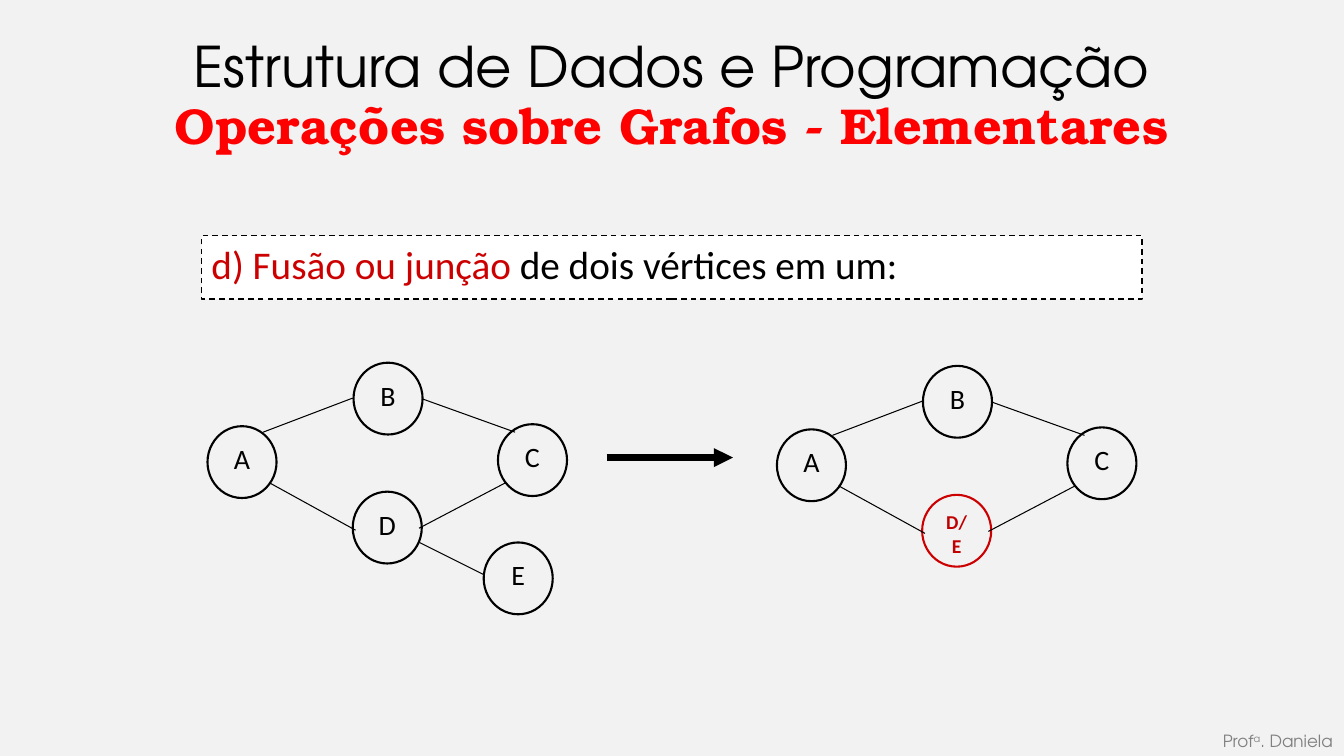
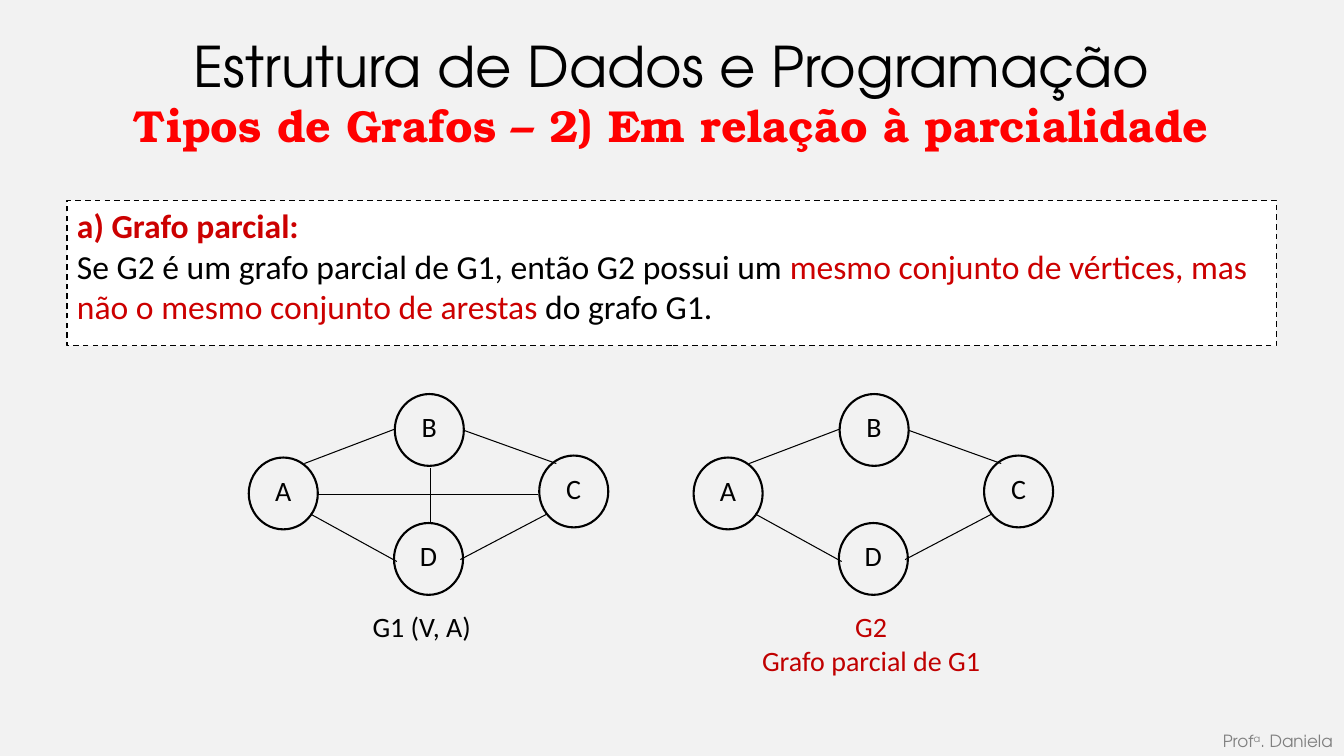
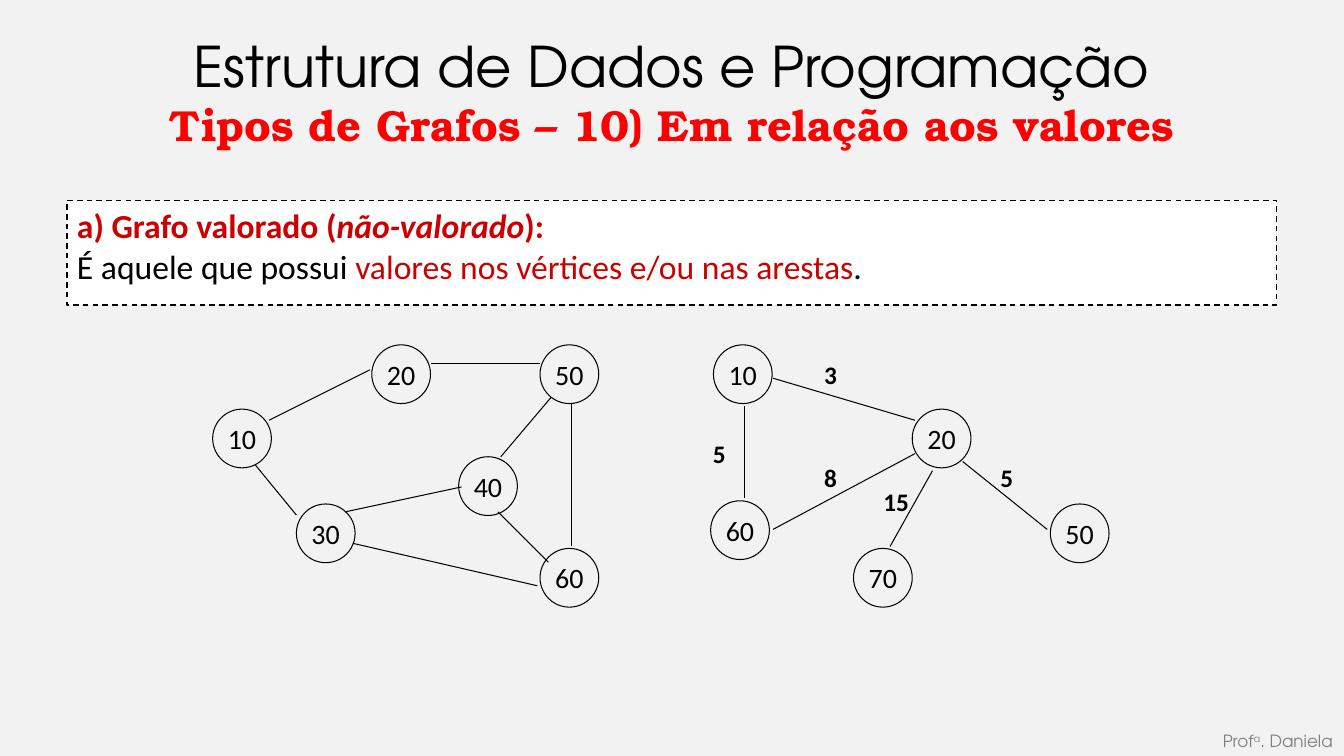
"""Builds three slides about graph operations and graph types."""
from lxml.etree import SubElement
from pptx import Presentation
from pptx.dml.color import RGBColor
from pptx.enum.dml import MSO_LINE
from pptx.enum.shapes import MSO_CONNECTOR, MSO_SHAPE
from pptx.enum.text import MSO_ANCHOR, PP_ALIGN
from pptx.oxml.ns import qn
from pptx.util import Cm, Pt

BLACK = RGBColor(0x00, 0x00, 0x00)
WHITE = RGBColor(0xFF, 0xFF, 0xFF)
PAPER = RGBColor(0xF2, 0xF2, 0xF2)
GRAY = RGBColor(0x80, 0x80, 0x80)
RED = RGBColor(0xFF, 0x00, 0x00)
CRIMSON = RGBColor(0xCC, 0x00, 0x00)
DARK_RED = RGBColor(0xC0, 0x00, 0x00)

BODY = "Calibri"
SANS = "TeX Gyre Adventor"
SERIF = "TeX Gyre Bonum"

DIAMOND_NODES = {"A": (0, 1.6), "B": (3.68, 0), "C": (7.32, 1.55), "D": (3.66, 3.25)}
DIAMOND_EDGES = [
    (3.66, 0.89, 1.4, 1.75),
    (5.33, 4.17, 7.52, 3.02),
    (3.73, 4.22, 1.55, 3.02),
    (5.41, 0.91, 7.75, 1.75),
]


class Deck:
    def __init__(self):
        self.prs = Presentation()
        self.prs.slide_width, self.prs.slide_height = Cm(33.87), Cm(19.05)
        fill = self.prs.slide_master.background.fill
        fill.solid()
        fill.fore_color.rgb = PAPER
        self.s = None

    def style(self, r, size, color=BLACK, bold=False, italic=False, name=BODY):
        r.font.size, r.font.name = Pt(size), name
        r.font.bold, r.font.italic = bold, italic
        r.font.color.rgb = color

    def label(self, tf, text, size, align=PP_ALIGN.CENTER, **look):
        tf.text = text
        for p in tf.paragraphs:
            p.alignment = align
            for r in p.runs:
                self.style(r, size, **look)

    def text(self, text, x, y, w, h, size, wrap=False, anchor=MSO_ANCHOR.TOP, **look):
        tf = self.s.shapes.add_textbox(Cm(x), Cm(y), Cm(w), Cm(h)).text_frame
        tf.word_wrap, tf.vertical_anchor = wrap, anchor
        self.label(tf, text, size, **look)
        return tf

    def slide(self, subtitle, size):
        self.s = self.prs.slides.add_slide(self.prs.slide_layouts[6])
        self.text("Estrutura de Dados e Programação", 1.69, 0.05, 30.48, 3.18, 40,
                  wrap=True, anchor=MSO_ANCHOR.MIDDLE, name=SANS)
        self.text(subtitle, 0.66, 2.34, 32.54, 1.6, size, wrap=True,
                  anchor=MSO_ANCHOR.MIDDLE, color=RED, bold=True, name=SERIF)
        p = self.text("Prof", 24.77, 18.29, 9.07, 0.76, 12, wrap=True,
                      align=PP_ALIGN.RIGHT, color=GRAY, name=SANS).paragraphs[0]
        for part in ("a", ". Daniela"):
            r = p.add_run()
            r.text = part
            self.style(r, 12, GRAY, name=SANS)
        p.runs[1].font._element.set("baseline", "30000")

    def shape(self, kind, x, y, w, h, color, weight):
        sp = self.s.shapes.add_shape(kind, Cm(x), Cm(y), Cm(w), Cm(h))
        sp.shadow.inherit = False
        sp.fill.background()
        sp.line.color.rgb, sp.line.width = color, Pt(weight)
        sp.text_frame.vertical_anchor = MSO_ANCHOR.TOP
        return sp

    def definition(self, x, y, w, h, size, lines):
        sp = self.shape(MSO_SHAPE.RECTANGLE, x, y, w, h, BLACK, 1)
        sp.fill.solid()
        sp.fill.fore_color.rgb = WHITE
        sp.line.dash_style = MSO_LINE.DASH
        tf = sp.text_frame
        tf.word_wrap = True
        for i, line in enumerate(lines):
            p = tf.add_paragraph() if i else tf.paragraphs[0]
            p.alignment = PP_ALIGN.LEFT
            for text, *look in line:
                r = p.add_run()
                r.text = text
                self.style(r, size, *look)

    def vertex(self, name, x, y, size=20, line=BLACK, **look):
        sp = self.shape(MSO_SHAPE.OVAL, x, y, 1.74, 1.81, line, 1.5)
        sp.text_frame.word_wrap = True
        self.label(sp.text_frame, name, size, **look)

    def value(self, number, x, y):
        sp = self.shape(MSO_SHAPE.OVAL, x, y, 1.48, 1.48, BLACK, 0.75)
        sp.text_frame.word_wrap = False
        sp.text_frame.vertical_anchor = MSO_ANCHOR.MIDDLE
        self.label(sp.text_frame, number, 20)

    def edge(self, x1, y1, x2, y2, weight=0.75, arrow=False):
        cx = self.s.shapes.add_connector(MSO_CONNECTOR.STRAIGHT, Cm(x1), Cm(y1), Cm(x2), Cm(y2))
        cx.line.color.rgb, cx.line.width = BLACK, Pt(weight)
        props = cx._element.spPr
        if arrow:
            SubElement(props.find(qn("a:ln")), qn("a:tailEnd"), type="triangle")
        SubElement(props, qn("a:effectLst"))

    def diamond(self, x, y, merged=False):
        for name, (dx, dy) in DIAMOND_NODES.items():
            if merged and name == "D":
                self.vertex("D/E", x + dx, y + dy, size=14, line=CRIMSON,
                            color=DARK_RED, bold=True)
            else:
                self.vertex(name, x + dx, y + dy)
        for x1, y1, x2, y2 in DIAMOND_EDGES:
            self.edge(x + x1, y + y1, x + x2, y + y2)

    def valued_graph(self, nodes, edges):
        for node in nodes:
            self.value(*node)
        for ends in edges:
            self.edge(*ends)


def main():
    deck = Deck()

    deck.slide("Operações sobre Grafos - Elementares", 36)
    deck.definition(5.08, 5.94, 23.7, 1.6, 28, [
        [("d) Fusão ou junção ", CRIMSON), ("de dois vértices em um:",)],
    ])
    deck.diamond(5.23, 9.14)
    deck.vertex("E", 12.19, 13.67)
    deck.edge(10.57, 13.67, 12.19, 14.48)
    deck.edge(15.29, 11.53, 18.47, 11.53, weight=4.5, arrow=True)
    deck.diamond(19.58, 9.22, merged=True)

    deck.slide("Tipos de Grafos – 2) Em relação à parcialidade", 32)
    deck.definition(1.69, 5.05, 30.48, 3.66, 24, [
        [("a) Grafo parcial:", CRIMSON, True)],
        [("Se G2 é um grafo parcial de G1, então G2 possui um ",),
         ("mesmo conjunto de vértices, mas não o mesmo conjunto de arestas", CRIMSON),
         (" do grafo G1.",)],
    ])
    deck.diamond(6.27, 9.93)
    deck.edge(8.03, 12.45, 13.56, 12.45)
    deck.edge(10.85, 11.79, 10.85, 13.16)
    deck.text("G1 (V, A)", 9.12, 15.24, 3.02, 1.12, 20)
    deck.diamond(17.48, 9.93)
    deck.text("G2\nGrafo parcial de G1", 18.92, 15.24, 6.07, 1.96, 20, color=DARK_RED)

    deck.slide("Tipos de Grafos – 10) Em relação aos valores", 31)
    deck.definition(1.69, 5.05, 30.48, 2.64, 24, [
        [("a) Grafo valorado (", CRIMSON, True), ("não-valorado", CRIMSON, True, True),
         ("):", CRIMSON, True)],
        [("É aquele que possui ",), ("valores nos vértices e/ou nas arestas", CRIMSON),
         (".",)],
    ])
    deck.valued_graph(
        [("10", 5.36, 10.31), ("20", 9.37, 8.69), ("30", 7.47, 12.7),
         ("40", 11.56, 11.51), ("50", 13.61, 8.69), ("60", 13.61, 13.82)],
        [(6.78, 10.59, 9.32, 9.32), (10.87, 9.17, 13.61, 9.17),
         (14.4, 10.16, 14.4, 13.77), (13.89, 10.01, 12.62, 11.51),
         (12.55, 12.9, 13.82, 14.17), (8.89, 13.69, 13.54, 14.76),
         (8.69, 12.9, 11.63, 12.27), (7.47, 12.98, 6.43, 11.71)])
    deck.valued_graph(
        [("10", 17.98, 8.69), ("20", 22.99, 10.31), ("50", 26.47, 12.7),
         ("60", 17.91, 12.62), ("70", 21.51, 13.82)],
        [(19.48, 9.53, 23.06, 10.59), (24.26, 11.63, 26.39, 13.34),
         (23.5, 11.86, 22.43, 13.77), (18.77, 10.24, 18.77, 12.55),
         (19.48, 13.34, 23.06, 11.43)])
    for weight, x, y, w in [("5", 17.7, 10.92, 0.86), ("8", 20.5, 11.53, 0.86),
                            ("3", 20.5, 8.92, 0.86), ("15", 22, 12.12, 1.17),
                            ("5", 24.94, 11.53, 0.86)]:
        deck.text(weight, x, y, w, 1.02, 18, bold=True)

    deck.prs.save("out.pptx")


if __name__ == "__main__":
    main()
